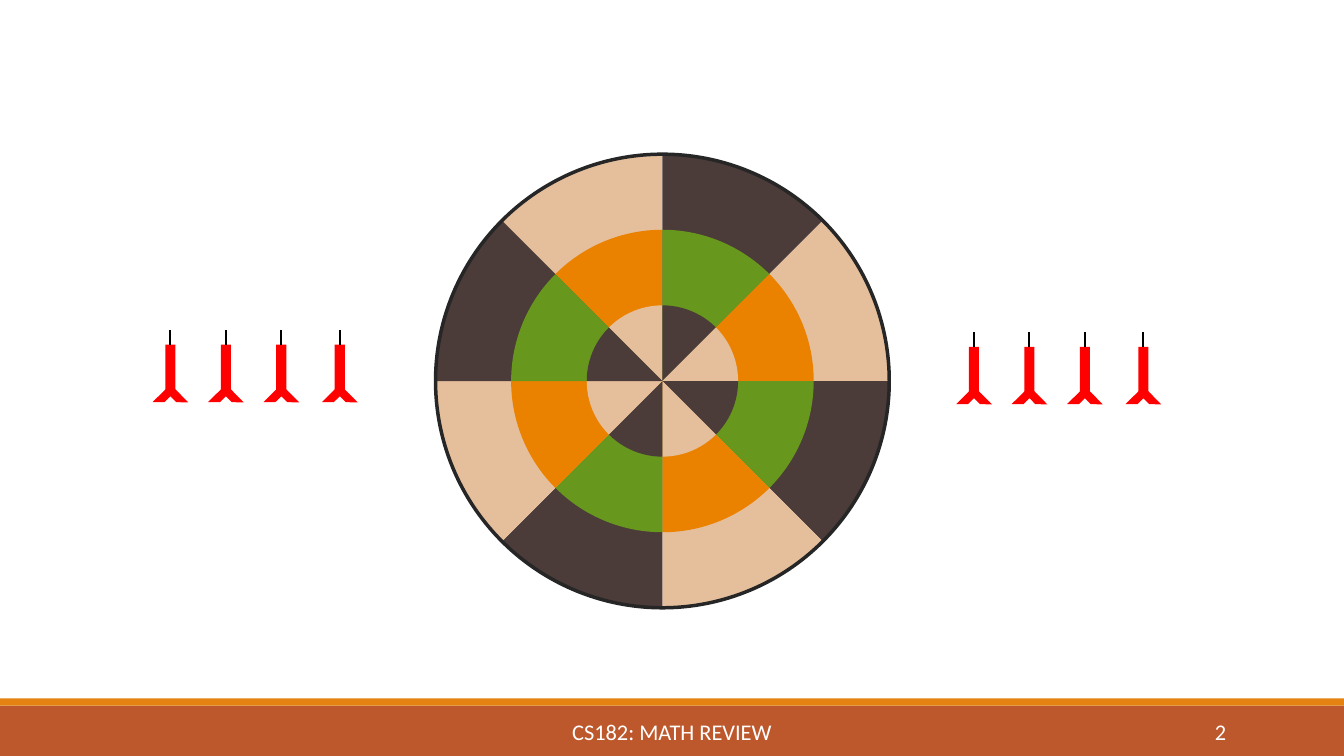
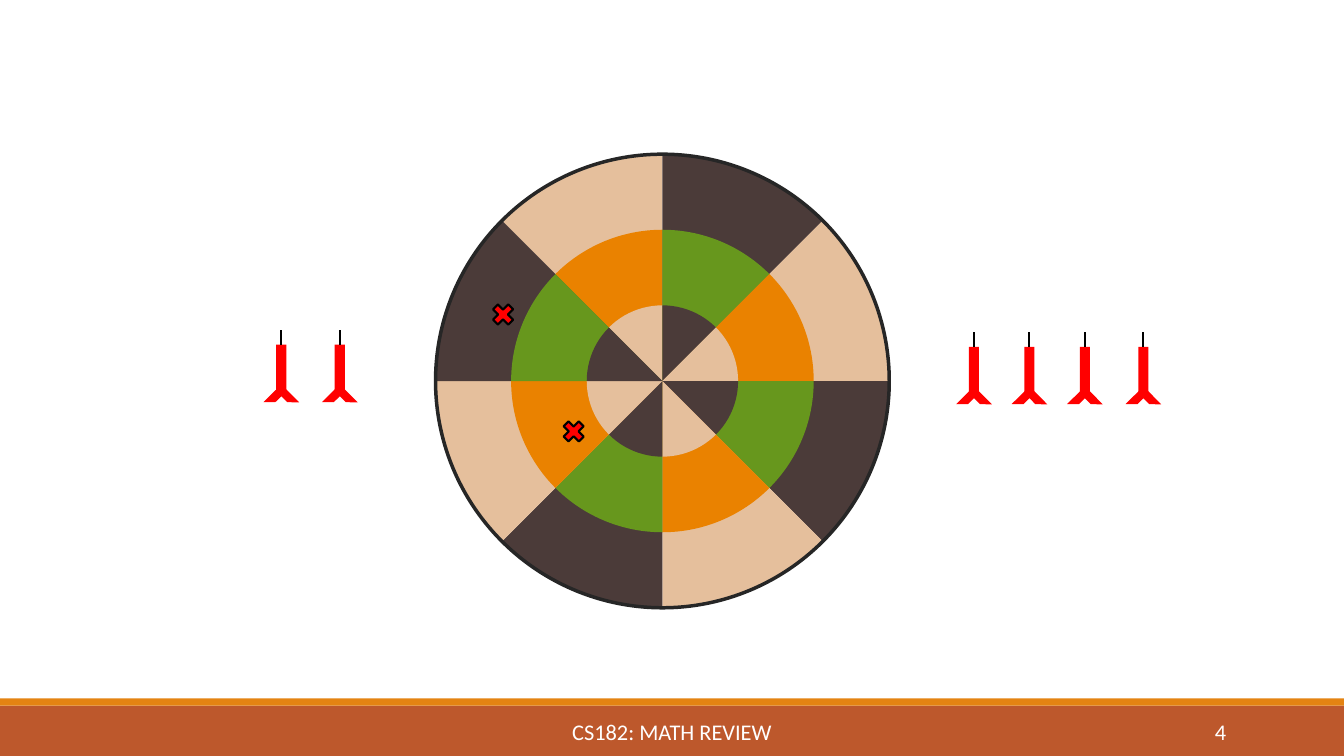
"""Build two dartboard slides with darts left over and hits on the board."""
import dataclasses

import lxml.etree
import pptx
import pptx.dml.color
import pptx.enum.shapes
import pptx.enum.text
import pptx.oxml.ns
import pptx.util

Kind = pptx.enum.shapes.MSO_SHAPE
Align = pptx.enum.text.PP_ALIGN


@dataclasses.dataclass(frozen=True)
class Theme:
    bar: str = "BD582C"
    strip: str = "E48312"
    dark: str = "4B3B39"
    sand: str = "E5BF9C"
    gold: str = "EA8200"
    green: str = "67971D"
    rim: str = "262626"
    dart: str = "FF0000"
    ink: str = "000000"
    pale: str = "FFFFFF"
    font: str = "Calibri"
    size: float = 16
    thick: float = 2.5
    thin: float = 1.5


look = Theme()
wide, high = 13.33, 7.5
title = "CS182: MATH REVIEW"
hub = (6.57, 3.78)
rings = [
    (0.6, look.sand, look.dark),
    (0.4, look.gold, look.green),
    (0.2, look.sand, look.dark),
]
wedges = 8
steps = [0, 0.55, 1.1, 1.68]
racks = {"left": (1.69, 3.27), "right": (9.66, 3.29)}
slides = [
    {"page": "2", "left": steps, "right": steps, "hits": []},
    {"page": "4", "left": steps[2:], "right": steps,
     "hits": [(4.99, 3.12), (5.69, 4.28)]},
]

deck = pptx.Presentation()
inch = pptx.util.Inches
deck.slide_width, deck.slide_height = inch(wide), inch(high)


def color(code):
    return pptx.dml.color.RGBColor.from_string(code)


def stroke(line, code, width):
    line.color.rgb = color(code)
    line.width = pptx.util.Pt(width)


def shape(pen, kind, box, fill=None, line=None, width=0, turn=0):
    item = pen.add_shape(kind, *map(inch, box))
    item.shadow.inherit = False
    item.rotation = turn
    if fill:
        item.fill.solid()
        item.fill.fore_color.rgb = color(fill)
    else:
        item.fill.background()
    if line:
        stroke(item.line, line, width)
    else:
        item.line.fill.background()
    return item


def around(x, y, size):
    return x - size / 2, y - size / 2, size, size


def label(pen, text, box, align):
    frame = pen.add_textbox(*map(inch, box)).text_frame
    frame.word_wrap = True
    frame.vertical_anchor = pptx.enum.text.MSO_ANCHOR.MIDDLE
    para = frame.paragraphs[0]
    para.text, para.alignment = text, align
    para.font.name = look.font
    para.font.size = pptx.util.Pt(look.size)
    para.font.color.rgb = color(look.pale)


def footer(pen, page):
    shape(pen, Kind.RECTANGLE, (0, 7, wide, 0.5), look.bar)
    shape(pen, Kind.RECTANGLE, (0, 6.93, wide, 0.07), look.strip)
    label(pen, title, (4.03, 7.06, 5.27, 0.4), Align.CENTER)
    label(pen, page, (10.83, 7.06, 1.43, 0.4), Align.RIGHT)


def board(pen):
    group = pen.add_group_shape().shapes
    for share, *pair in rings:
        box = around(*hub, share * high)
        for k in range(wedges):
            pie = shape(group, Kind.PIE, box, pair[k % 2], turn=k * 360 / wedges)
            pie.adjustments[0], pie.adjustments[1] = 135, 162
    shape(group, Kind.OVAL, around(*hub, rings[0][0] * high),
          line=look.rim, width=look.thick)


def dart(pen, x, top):
    group = pen.add_group_shape().shapes
    neck = top + 0.15
    shape(group, Kind.HALF_FRAME, around(x, top + 0.72, 0.25), look.dart, turn=45.4)
    shape(group, Kind.RECTANGLE, (x - 0.05, neck, 0.1, 0.48), look.dart)
    tip = group.add_connector(pptx.enum.shapes.MSO_CONNECTOR.STRAIGHT,
                              *map(inch, (x, neck, x, top)))
    stroke(tip.line, look.ink, look.thin)
    lxml.etree.SubElement(tip._element.spPr, pptx.oxml.ns.qn("a:effectLst"))


for plan in slides:
    pen = deck.slides.add_slide(deck.slide_layouts[6]).shapes
    footer(pen, plan["page"])
    board(pen)
    for side, (start, top) in racks.items():
        for step in plan[side]:
            dart(pen, start + step, top)
    for spot in plan["hits"]:
        shape(pen, Kind.MATH_MULTIPLY, around(*spot, 0.29),
              look.dart, look.ink, look.thin)

deck.save("out.pptx")
